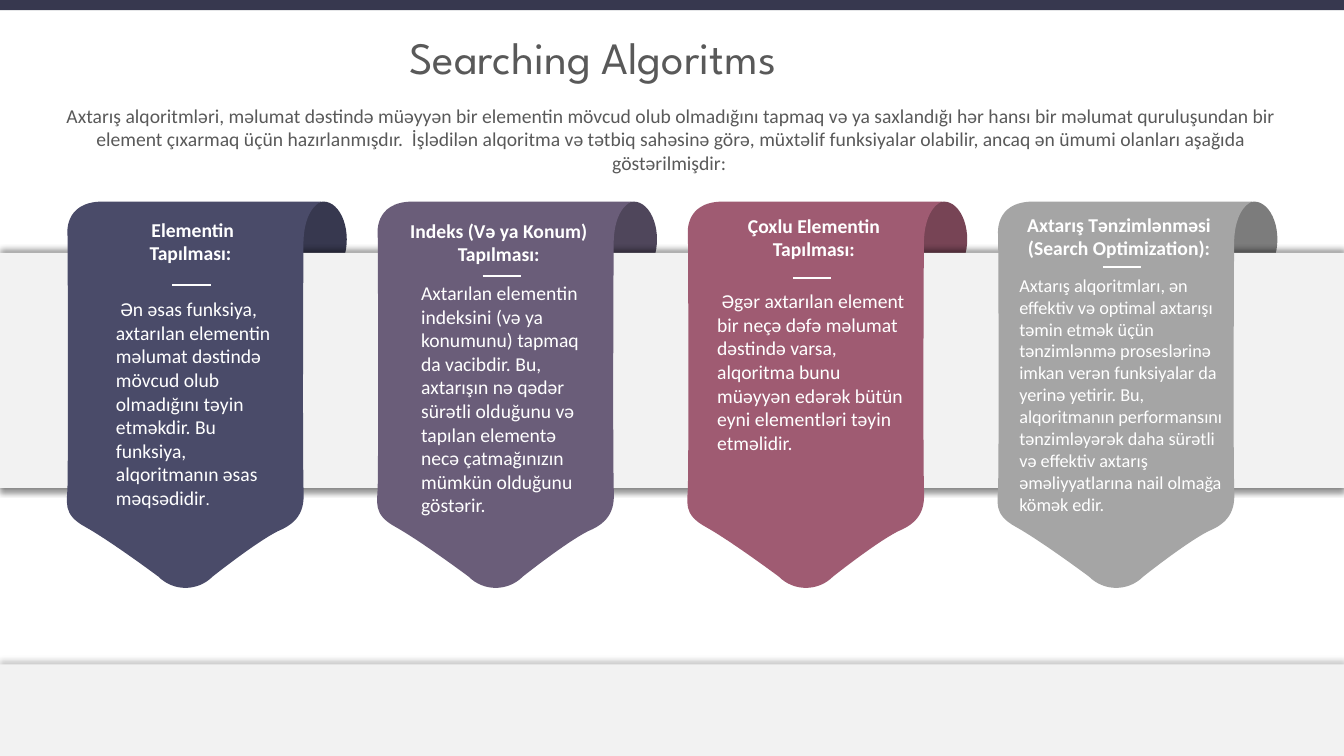
import lxml.etree
import pptx
import pptx.dml.color
import pptx.enum.shapes
import pptx.enum.text
import pptx.oxml
import pptx.oxml.ns
import pptx.util

Inches = pptx.util.Inches
SHAPES = pptx.enum.shapes.MSO_SHAPE
ALIGN = pptx.enum.text.PP_ALIGN

WIDTH, HEIGHT = 13.33, 7.5
FIRST_COLUMN = 0.61
COLUMN_PITCH = 9.23 / 3
RIBBON_TOP = 2.0

COLORS = {
    "navy_dark": "37384F", "navy": "4A4B69",
    "violet_dark": "4F465B", "violet": "6A5D79",
    "rose_dark": "774455", "rose": "9F5B72",
    "gray_dark": "7C7C7C", "gray": "A5A5A5",
    "band": "F2F2F2", "text": "595959", "white": "FFFFFF", "shadow": "000000",
}

# Ribbon outline in hundredths of an inch, from its column and the ribbon top;
# each curve has two control points and an end point
RIBBON_START = (41, 0)
RIBBON_CURVES = [
    ((1, 0), (6, 34), (6, 34)),
    ((6, 34), (7, 204), (6, 281)),
    ((6, 298), (0, 310), (24, 323)),
    ((49, 337), (96, 372), (96, 372)),
    ((111, 387), (135, 387), (150, 372)),
    ((150, 372), (199, 333), (219, 325)),
    ((244, 313), (240, 293), (240, 281)),
    ((239, 218), (240, 43), (240, 43)),
    ((240, 5), (258, 0), (258, 0)),
]

INTRO = ("Axtarış alqoritmləri, məlumat dəstində müəyyən bir elementin mövcud olub "
         "olmadığını tapmaq və ya saxlandığı hər hansı bir məlumat quruluşundan bir "
         "element çıxarmaq üçün hazırlanmışdır.  İşlədilən alqoritma və tətbiq sahəsinə "
         "görə, müxtəlif funksiyalar olabilir, ancaq ən ümumi olanları aşağıda "
         "göstərilmişdir: ")

# Boxes are (offset in column, top, width, height); body runs are (text, size)
RIBBONS = [
    {"color": "navy", "heading": " Elementin Tapılması:",
     "heading_box": (0.56, 2.16, 1.44, 0.51), "rule": 2.83,
     "body_box": (0.54, 2.95, 1.66, 2.3),
     "body": [(" Ən əsas funksiya, axtarılan elementin məlumat dəstində mövcud olub "
               "olmadığını təyin etməkdir. Bu funksiya, alqoritmanın əsas məqsədidir", 14),
              (".", 12)]},
    {"color": "violet", "heading": "Indeks (Və ya Konum) Tapılması:",
     "heading_box": (0.27, 2.17, 1.98, 0.51), "rule": 2.74,
     "body_box": (0.49, 2.79, 1.66, 2.56),
     "body": [("Axtarılan elementin indeksini (və ya konumunu) tapmaq da vacibdir. Bu, "
               "axtarışın nə qədər sürətli olduğunu və tapılan elementə necə "
               "çatmağınızın mümkün olduğunu göstərir.", 14)]},
    {"color": "rose", "heading": "Çoxlu Elementin Tapılması:",
     "heading_box": (0.36, 2.12, 1.9, 0.51), "rule": 2.76,
     "body_box": (0.35, 2.87, 1.87, 1.79),
     "body": [(" Əgər axtarılan element bir neçə dəfə məlumat dəstində varsa, alqoritma "
               "bunu müəyyən edərək bütün eyni elementləri təyin etməlidir.", 14)]},
    {"color": "gray", "heading": "Axtarış Tənzimlənməsi (Search Optimization):",
     "heading_box": (0.19, 2.11, 2.14, 0.51), "rule": 2.65,
     "body_box": (0.27, 2.72, 2.12, 2.61),
     "body": [("Axtarış alqoritmları, ən effektiv və optimal axtarışı təmin etmək üçün "
               "tənzimlənmə proseslərinə imkan verən funksiyalar da yerinə yetirir. Bu, "
               "alqoritmanın performansını tənzimləyərək daha sürətli və effektiv axtarış "
               "əməliyyatlarına nail olmağa kömək edir.", 13)]},
]


def rgb(name):
    return pptx.dml.color.RGBColor.from_string(COLORS[name])


def column_left(index):
    return FIRST_COLUMN + index * COLUMN_PITCH


def paint(shape, color):
    shape.shadow.inherit = False
    shape.fill.solid()
    shape.fill.fore_color.rgb = rgb(color)
    shape.line.fill.background()


def add_filled(slide, kind, box, color):
    shape = slide.shapes.add_shape(kind, *map(Inches, box))
    paint(shape, color)
    return shape


def add_band(slide, top, height, opacity, direction):
    band = add_filled(slide, SHAPES.RECTANGLE, (0, top, WIDTH, height), "band")
    effects = band._element.spPr.find(pptx.oxml.ns.qn("a:effectLst"))
    effects.append(pptx.oxml.parse_xml(
        f'<a:outerShdw {pptx.oxml.ns.nsdecls("a")} blurRad="{pptx.util.Pt(4)}" '
        f'dist="{pptx.util.Pt(3)}" dir="{direction * 60000}" rotWithShape="0">'
        f'<a:srgbClr val="{COLORS["shadow"]}"><a:alpha val="{opacity * 1000}"/>'
        '</a:srgbClr></a:outerShdw>'))


def write_text(shape, runs, color, font="Calibri", align=ALIGN.LEFT, bold=False):
    frame = shape.text_frame
    frame.word_wrap = True
    frame.auto_size = pptx.enum.text.MSO_AUTO_SIZE.SHAPE_TO_FIT_TEXT
    frame.vertical_anchor = pptx.enum.text.MSO_ANCHOR.TOP
    frame.margin_left = frame.margin_right = frame.margin_top = frame.margin_bottom = 0
    paragraph = frame.paragraphs[0]
    paragraph.alignment = align
    for text, size in runs:
        run = paragraph.add_run()
        run.text = text
        run.font.name = font
        run.font.size = pptx.util.Pt(size)
        run.font.bold = bold
        run.font.color.rgb = rgb(color)


def add_text(slide, box, runs, color, **style):
    write_text(slide.shapes.add_textbox(*map(Inches, box)), runs, color, **style)


def add_title(slide, text):
    title = slide.shapes.title
    title.left, title.top, title.width, title.height = map(Inches, (3.12, 0.29, 5.52, 0.62))
    write_text(title, [(text, 32)], "text", font="League Spartan", align=ALIGN.CENTER)


def add_ribbon(slide, left, color):
    builder = slide.shapes.build_freeform(*RIBBON_START, scale=Inches(0.01))
    builder.add_line_segments([point for curve in RIBBON_CURVES for point in curve])
    ribbon = builder.convert_to_shape(Inches(left), Inches(RIBBON_TOP))
    paint(ribbon, color)

    # Every three segments become one cubic curve
    segments = list(ribbon._element.iter(pptx.oxml.ns.qn("a:lnTo")))
    for first in range(0, len(segments), 3):
        group = segments[first:first + 3]
        curve = lxml.etree.Element(pptx.oxml.ns.qn("a:cubicBezTo"))
        group[0].addprevious(curve)
        for segment in group:
            curve.append(segment[0])
            segment.getparent().remove(segment)


def add_rule(slide, left, top):
    rule = slide.shapes.add_connector(
        pptx.enum.shapes.MSO_CONNECTOR.STRAIGHT,
        *map(Inches, (left, top, left + 0.38, top)))
    rule.line.color.rgb = rgb("white")
    rule.line.width = pptx.util.Pt(1.5)
    rule._element.spPr.append(pptx.oxml.parse_xml(
        f'<a:effectLst {pptx.oxml.ns.nsdecls("a")}/>'))


def add_ribbon_text(slide, left, ribbon):
    offset, *rest = ribbon["heading_box"]
    add_text(slide, (left + offset, *rest), [(ribbon["heading"], 14)], "white",
             align=ALIGN.CENTER, bold=True)
    add_rule(slide, left + 1.1, ribbon["rule"])
    offset, *rest = ribbon["body_box"]
    add_text(slide, (left + offset, *rest), ribbon["body"], "white")


def main():
    presentation = pptx.Presentation()
    presentation.slide_width = Inches(WIDTH)
    presentation.slide_height = Inches(HEIGHT)
    slide = presentation.slides.add_slide(presentation.slide_layouts[5])

    # Top bar, title and introduction
    add_filled(slide, SHAPES.RECTANGLE, (0, 0, WIDTH, 0.1), "navy_dark")
    add_title(slide, "Searching Algoritms")
    add_text(slide, (0.56, 1.03, 12.2, 0.77), [(INTRO, 14)], "text", align=ALIGN.CENTER)

    # Folds behind the band
    for index, ribbon in enumerate(RIBBONS):
        add_filled(slide, SHAPES.OVAL, (column_left(index) + 2.37, RIBBON_TOP, 0.46, 0.75),
                   ribbon["color"] + "_dark")

    # Bands
    add_band(slide, 2.9, 1.94, 40, 90)
    add_band(slide, 2.51, 2.33, 40, 270)
    add_band(slide, 6.59, HEIGHT - 6.59, 20, 270)

    # Ribbons with their text
    for index, ribbon in enumerate(RIBBONS):
        add_ribbon(slide, column_left(index), ribbon["color"])
        add_ribbon_text(slide, column_left(index), ribbon)

    presentation.save("out.pptx")


if __name__ == "__main__":
    main()
